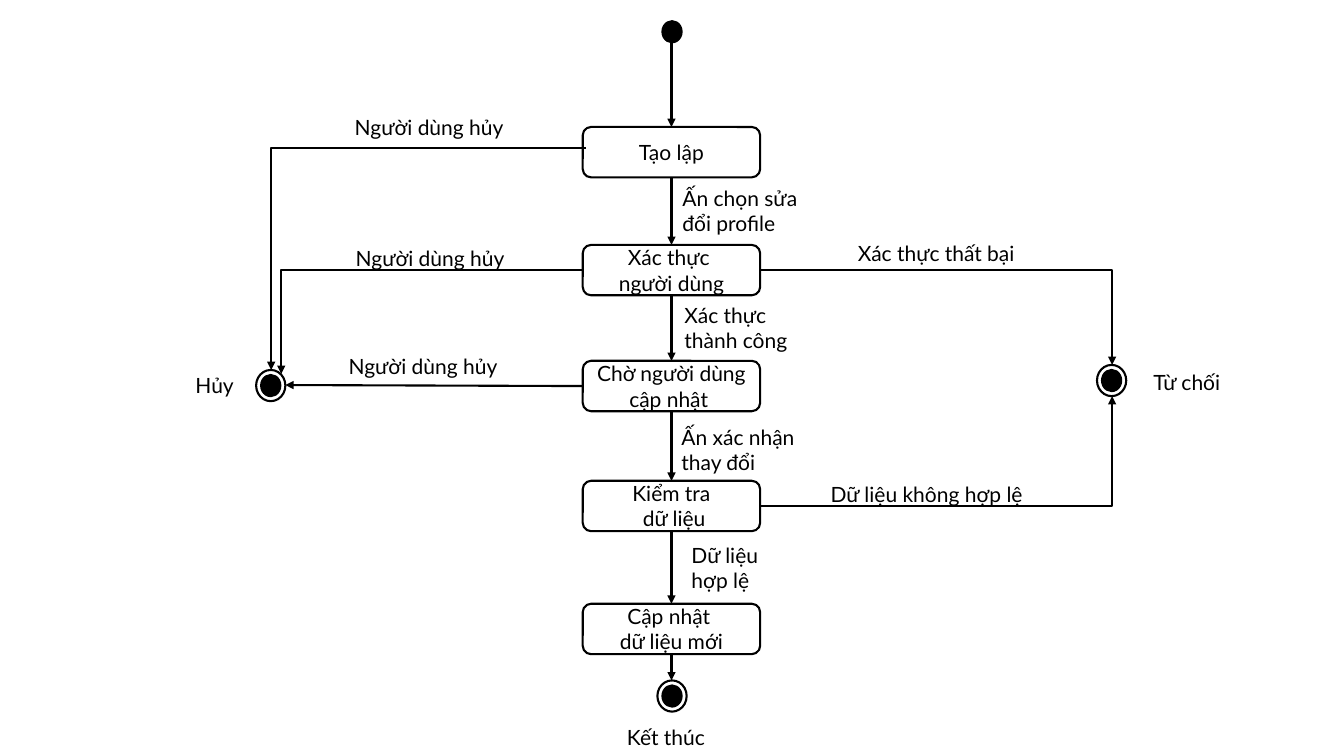
import dataclasses
import typing

import lxml.etree
import pptx
import pptx.dml.color
import pptx.enum.shapes
import pptx.enum.text
import pptx.oxml.ns
import pptx.util

Inches = pptx.util.Inches
SHAPE = pptx.enum.shapes.MSO_SHAPE
LINK = pptx.enum.shapes.MSO_CONNECTOR
ALIGN = pptx.enum.text.PP_ALIGN
Point = tuple[float, float]


@dataclasses.dataclass(frozen=True)
class Theme:
    ink: pptx.dml.color.RGBColor = pptx.dml.color.RGBColor(0, 0, 0)
    paper: pptx.dml.color.RGBColor = pptx.dml.color.RGBColor(255, 255, 255)
    font: str = "Lato"
    size: pptx.util.Pt = pptx.util.Pt(15)
    stroke: pptx.util.Pt = pptx.util.Pt(1.5)


@dataclasses.dataclass(frozen=True)
class State:
    text: str
    top: float


@dataclasses.dataclass(frozen=True)
class Label:
    text: str
    left: float
    top: float
    width: float
    height: float = 0.35


@dataclasses.dataclass(frozen=True)
class Arrow:
    """One transition from a state to a final ring; sites count round the ring."""
    state: int
    start: Point
    side: typing.Optional[int]
    ring: str
    end: Point
    site: int
    bent: bool = True


THEME = Theme()
BOX_LEFT, BOX_WIDTH, BOX_HEIGHT = 5.78, 1.76, 0.5
BOX_RIGHT = BOX_LEFT + BOX_WIDTH
AXIS = BOX_LEFT + BOX_WIDTH / 2
DOT_WIDTH, DOT_HEIGHT, RIM = 0.19, 0.21, 0.05
START = (6.57, 0.21)

STATES = [
    State("Tạo lập", 1.26),
    State("Xác thực \nngười dùng", 2.43),
    State("Chờ người dùng cập nhật ", 3.58),
    State("Kiểm tra\n dữ liệu", 4.77),
    State("Cập nhật \ndữ liệu mới", 5.99),
]
RINGS = {"cancel": (2.54, 3.67), "reject": (10.88, 3.62), "end": (6.52, 6.75)}
ARROWS = [
    Arrow(0, (5.81, 1.47), None, "cancel", (2.69, 3.67), 0),
    Arrow(1, (BOX_LEFT, 2.68), 1, "cancel", (2.79, 3.71), 7),
    Arrow(2, (BOX_LEFT, 3.83), 1, "cancel", (2.83, 3.82), 6, bent=False),
    Arrow(1, (BOX_RIGHT, 2.68), 3, "reject", (11.03, 3.62), 0),
    Arrow(3, (BOX_RIGHT, 5.02), 3, "reject", (11.03, 3.93), 4),
    Arrow(4, (AXIS, 6.49), 2, "end", (AXIS, 6.75), 0, bent=False),
]
LABELS = [
    Label("Hủy", 1.84, 3.65, 0.64),
    Label("Từ chối", 11.34, 3.62, 0.94),
    Label("Kết thúc", 6.12, 7.14, 1.09),
    Label("Người dùng hủy", 3.42, 1.09, 1.76),
    Label("Người dùng hủy", 3.43, 2.39, 1.76),
    Label("Người dùng hủy", 3.36, 3.46, 1.76),
    Label("Xác thực thất bại", 8.41, 2.34, 2.14),
    Label("Dữ liệu không hợp lệ", 8.14, 4.73, 2.55),
    Label("Ấn chọn sửa đổi profile", 6.67, 1.79, 1.59, 0.61),
    Label("Xác thực thành công", 6.69, 2.95, 1.38, 0.61),
    Label("Ấn xác nhận thay đổi", 6.66, 4.16, 1.38, 0.61),
    Label("Dữ liệu\nhợp lệ", 6.76, 5.33, 1.38, 0.61),
]


def write(shape, text: str, *, align=ALIGN.LEFT,
          anchor=pptx.enum.text.MSO_ANCHOR.TOP, grow: bool = False) -> None:
    frame = shape.text_frame
    frame.text = text
    frame.word_wrap = True
    frame.vertical_anchor = anchor
    if grow:
        frame.auto_size = pptx.enum.text.MSO_AUTO_SIZE.SHAPE_TO_FIT_TEXT
    for para in frame.paragraphs:
        para.alignment = align
        for run in para.runs:
            run.font.name = THEME.font
            run.font.size = THEME.size
            run.font.color.rgb = THEME.ink


def draw_shape(slide, kind, left: float, top: float, width: float,
               height: float, fill):
    shape = slide.shapes.add_shape(
        kind, Inches(left), Inches(top), Inches(width), Inches(height))
    shape.shadow.inherit = False
    shape.fill.solid()
    shape.fill.fore_color.rgb = fill
    shape.line.color.rgb = THEME.ink
    shape.line.width = THEME.stroke
    return shape


def draw_dot(slide, left: float, top: float):
    return draw_shape(slide, SHAPE.OVAL, left, top, DOT_WIDTH, DOT_HEIGHT, THEME.ink)


def draw_ring(slide, left: float, top: float):
    """Draw a final state and return its outer oval."""
    ring = draw_shape(slide, SHAPE.OVAL, left, top,
                      DOT_WIDTH + 2 * RIM, DOT_HEIGHT + 2 * RIM, THEME.paper)
    draw_dot(slide, left + RIM, top + RIM)
    return ring


def draw_state(slide, state: State):
    box = draw_shape(slide, SHAPE.ROUNDED_RECTANGLE, BOX_LEFT, state.top,
                     BOX_WIDTH, BOX_HEIGHT, THEME.paper)
    write(box, state.text, align=ALIGN.CENTER,
          anchor=pptx.enum.text.MSO_ANCHOR.MIDDLE)
    return box


def draw_link(slide, start: Point, end: Point, bent: bool = False):
    kind = LINK.ELBOW if bent else LINK.STRAIGHT
    link = slide.shapes.add_connector(kind, *map(Inches, start + end))
    link.line.color.rgb = THEME.ink
    link.line.width = THEME.stroke
    qn = pptx.oxml.ns.qn
    props = link._element.spPr
    if bent:
        props.find(qn("a:prstGeom")).set("prst", "bentConnector2")
    tail = lxml.etree.SubElement(props.find(qn("a:ln")), qn("a:tailEnd"))
    tail.set("type", "triangle")
    lxml.etree.SubElement(props, qn("a:effectLst"))
    return link


def draw_arrow(slide, arrow: Arrow, box, ring) -> None:
    link = draw_link(slide, arrow.start, arrow.end, arrow.bent)
    if arrow.side is not None:
        link.begin_connect(box, arrow.side)
    # An oval has eight sites, so only the join is set and the end stays put.
    link._connect_end_to(ring, arrow.site)


def draw_label(slide, label: Label) -> None:
    box = slide.shapes.add_textbox(
        Inches(label.left), Inches(label.top),
        Inches(label.width), Inches(label.height))
    write(box, label.text, grow=True)


def main() -> None:
    deck = pptx.Presentation()
    deck.slide_width, deck.slide_height = Inches(13.33), Inches(7.5)
    slide = deck.slides.add_slide(deck.slide_layouts[6])

    draw_dot(slide, *START)
    rings = {name: draw_ring(slide, *spot) for name, spot in RINGS.items()}
    boxes = [draw_state(slide, state) for state in STATES]

    first = draw_link(slide, (AXIS, START[1] + DOT_HEIGHT), (AXIS, STATES[0].top))
    first.end_connect(boxes[0], 0)
    for index, (upper, lower) in enumerate(zip(boxes, boxes[1:])):
        link = draw_link(slide, (AXIS, STATES[index].top + BOX_HEIGHT),
                         (AXIS, STATES[index + 1].top))
        link.begin_connect(upper, 2)
        link.end_connect(lower, 0)
    for arrow in ARROWS:
        draw_arrow(slide, arrow, boxes[arrow.state], rings[arrow.ring])
    for label in LABELS:
        draw_label(slide, label)
    deck.save("out.pptx")


if __name__ == "__main__":
    main()
